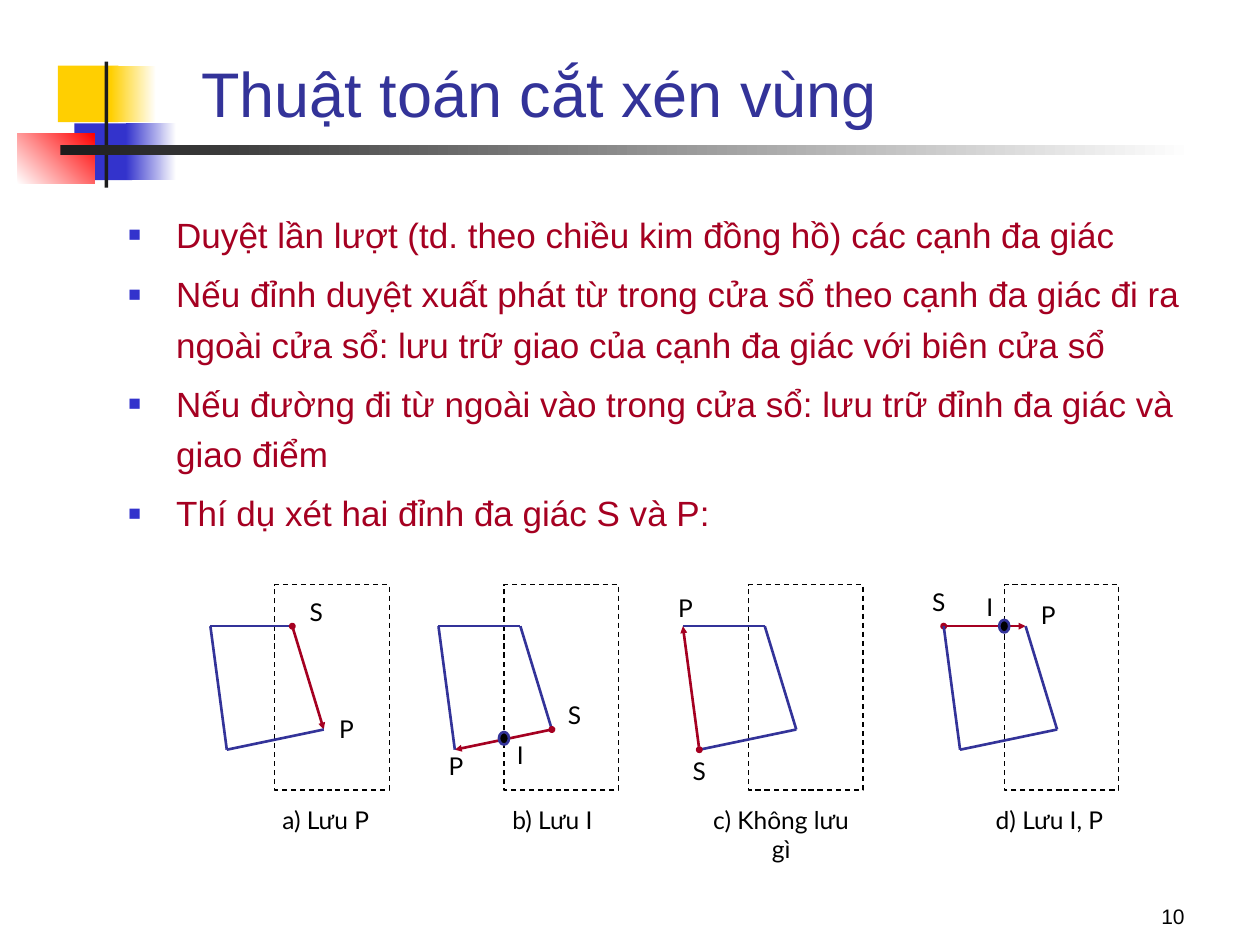
"""Build the slide on polygon clipping with its four edge cases."""
from dataclasses import dataclass
from typing import Optional

from lxml.etree import SubElement
from pptx import Presentation
from pptx.dml.color import RGBColor
from pptx.enum.dml import MSO_LINE
from pptx.enum.shapes import MSO_CONNECTOR, MSO_SHAPE
from pptx.enum.text import MSO_ANCHOR as Anchor, PP_ALIGN as Align
from pptx.oxml.ns import qn
from pptx.util import Emu, Pt

PX = 9144
COLORS = {
    "yellow": "FFCF01", "blue": "3333CC", "red": "FF0000", "white": "FFFFFF",
    "charcoal": "1C1C1C", "black": "000000", "navy": "333399", "crimson": "A50021",
}
POLYGON_TOP = 497
CORNERS = [(0, 0), (65, 0), (90, 82), (13, 98)]
WINDOW_TOP, WINDOW_WIDTH, WINDOW_HEIGHT = 464, 91, 163
CAPTION_TOP, LABEL_WIDTH, LABEL_HEIGHT = 634, 52, 49
DOT_WIDTH, DOT_HEIGHT = 8, 10


@dataclass
class Block:
    left: int
    top: int
    width: int
    height: int
    start: str
    end: Optional[str] = None
    angle: int = 0


@dataclass
class Label:
    text: str
    left: int
    top: int
    width: int = LABEL_WIDTH


@dataclass
class Case:
    polygon_left: int
    window_left: int
    visited_edge: int
    caption: Label
    vertices: list[Label]
    crossing: Optional[tuple[int, int]] = None


ORNAMENTS = [
    Block(46, 52, 48, 45, "yellow"),
    Block(88, 52, 36, 45, "yellow", "white"),
    Block(59, 98, 46, 45, "blue"),
    Block(100, 98, 40, 45, "blue", "white"),
    Block(14, 106, 61, 40, "white", "red", 45),
    Block(83, 49, 3, 100, "charcoal"),
    Block(48, 115, 900, 8, "charcoal", "white"),
]
RULES = [
    "Duyệt lần lượt (td. theo chiều kim đồng hồ) các cạnh đa giác",
    "Nếu đỉnh duyệt xuất phát từ trong cửa sổ theo cạnh đa giác đi ra "
    "ngoài cửa sổ: lưu trữ giao của cạnh đa giác với biên cửa sổ",
    "Nếu đường đi từ ngoài vào trong cửa sổ: lưu trữ đỉnh đa giác và giao điểm",
    "Thí dụ xét hai đỉnh đa giác S và P:",
]
CASES = [
    Case(167, 218, 1, Label("a) Lưu P", 208, CAPTION_TOP, 101),
         [Label("P", 249, 562), Label("S", 225, 469)]),
    Case(348, 400, 2, Label("b) Lưu I", 387, CAPTION_TOP, 103),
         [Label("P", 336, 591), Label("S", 430, 551), Label("I", 387, 582)], (400, 586)),
    Case(542, 594, 3, Label("c) Không lưu gì", 555, CAPTION_TOP, 130),
         [Label("P", 518, 466), Label("S", 529, 595)]),
    Case(749, 797, 0, Label("d) Lưu I, P", 775, CAPTION_TOP, 116),
         [Label("P", 806, 471), Label("S", 719, 461), Label("I", 766, 465, 39)], (797, 497)),
]


def rgb(color: str) -> RGBColor:
    return RGBColor.from_string(COLORS[color])


def scaled(*lengths: int) -> list[Emu]:
    return [Emu(length * PX) for length in lengths]


def add_block(slide, block: Block, kind=MSO_SHAPE.RECTANGLE):
    shape = slide.shapes.add_shape(
        kind, *scaled(block.left, block.top, block.width, block.height))
    shape.shadow.inherit = False
    shape.line.fill.background()
    if block.end:
        shape.fill.gradient()
        shape.fill.gradient_angle = block.angle
        for stop, color in zip(shape.fill.gradient_stops, (block.start, block.end)):
            stop.color.rgb = rgb(color)
    else:
        shape.fill.solid()
        shape.fill.fore_color.rgb = rgb(block.start)
    return shape


def outline(shape, color: str, width: float) -> None:
    shape.line.color.rgb = rgb(color)
    shape.line.width = Pt(width)


def add_text(slide, box: tuple[int, int, int, int], text: str, size: int, color: str,
             font: str = "Arial", align=Align.LEFT, anchor=Anchor.TOP):
    frame = slide.shapes.add_textbox(*scaled(*box)).text_frame
    frame.word_wrap = True
    frame.vertical_anchor = anchor
    frame.text = text
    for paragraph in frame.paragraphs:
        paragraph.alignment = align
        for run in paragraph.runs:
            run.font.name = font
            run.font.size = Pt(size)
            run.font.color.rgb = rgb(color)
    return frame


def add_label(slide, label: Label) -> None:
    add_text(slide, (label.left, label.top, label.width, LABEL_HEIGHT),
             label.text, 14, "black", "Lato", Align.CENTER)


def add_bullet(paragraph) -> None:
    properties = paragraph._p.get_or_add_pPr()
    properties.set("marL", str(38 * PX))
    properties.set("indent", str(-38 * PX))
    bullet_color = SubElement(properties, qn("a:buClr"))
    SubElement(bullet_color, qn("a:srgbClr"), val=COLORS["blue"])
    SubElement(properties, qn("a:buSzPct"), val="60000")
    SubElement(properties, qn("a:buFont"), typeface="Arial")
    SubElement(properties, qn("a:buChar"), char="■")


def add_edge(slide, start: tuple[int, int], end: tuple[int, int], visited: bool) -> None:
    edge = slide.shapes.add_connector(MSO_CONNECTOR.STRAIGHT, *scaled(*start, *end))
    outline(edge, "crimson" if visited else "navy", 1.5)
    if visited:
        line = edge.line._get_or_add_ln()
        for tag, kind in (("a:headEnd", "oval"), ("a:tailEnd", "triangle")):
            SubElement(line, qn(tag), type=kind, w="sm", len="sm")
    SubElement(edge._element.spPr, qn("a:effectLst"))


def add_case(slide, case: Case) -> None:
    window = add_block(slide, Block(
        case.window_left, WINDOW_TOP, WINDOW_WIDTH, WINDOW_HEIGHT, "white"))
    outline(window, "black", 0.75)
    window.line.dash_style = MSO_LINE.DASH
    corners = [(case.polygon_left + x, POLYGON_TOP + y) for x, y in CORNERS]
    for index, corner in enumerate(corners):
        following = corners[(index + 1) % len(corners)]
        add_edge(slide, corner, following, index == case.visited_edge)
    for label in [*case.vertices, case.caption]:
        add_label(slide, label)
    if case.crossing:
        x, y = case.crossing
        dot = add_block(slide, Block(
            x - DOT_WIDTH // 2, y - DOT_HEIGHT // 2, DOT_WIDTH, DOT_HEIGHT, "black"),
            MSO_SHAPE.OVAL)
        outline(dot, "navy", 1.5)


def main() -> None:
    deck = Presentation()
    deck.slide_width, deck.slide_height = scaled(1000, 750)
    slide = deck.slides.add_slide(deck.slide_layouts[6])
    for ornament in ORNAMENTS:
        add_block(slide, ornament)
    add_text(slide, (808, 692, 142, 50), "10", 12, "black",
             align=Align.RIGHT, anchor=Anchor.BOTTOM)
    add_text(slide, (150, 25, 836, 83), "Thuật toán cắt xén vùng", 36, "navy",
             anchor=Anchor.BOTTOM)
    rules = add_text(slide, (92, 158, 888, 512), "\n".join(RULES), 20, "crimson")
    for index, rule in enumerate(rules.paragraphs):
        add_bullet(rule)
        rule.line_spacing = 1.2
        rule.space_before = Pt(5 if index else 0)
    for case in CASES:
        add_case(slide, case)
    deck.save("out.pptx")


if __name__ == "__main__":
    main()
